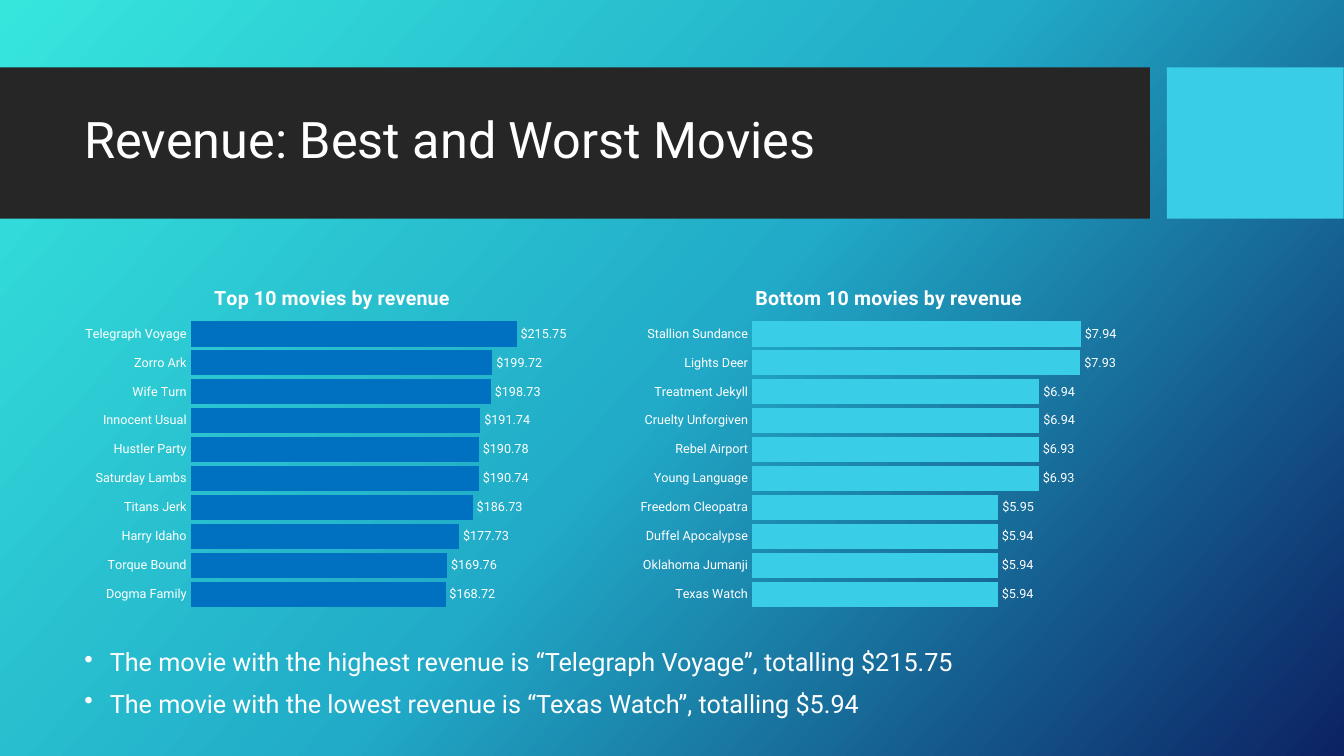
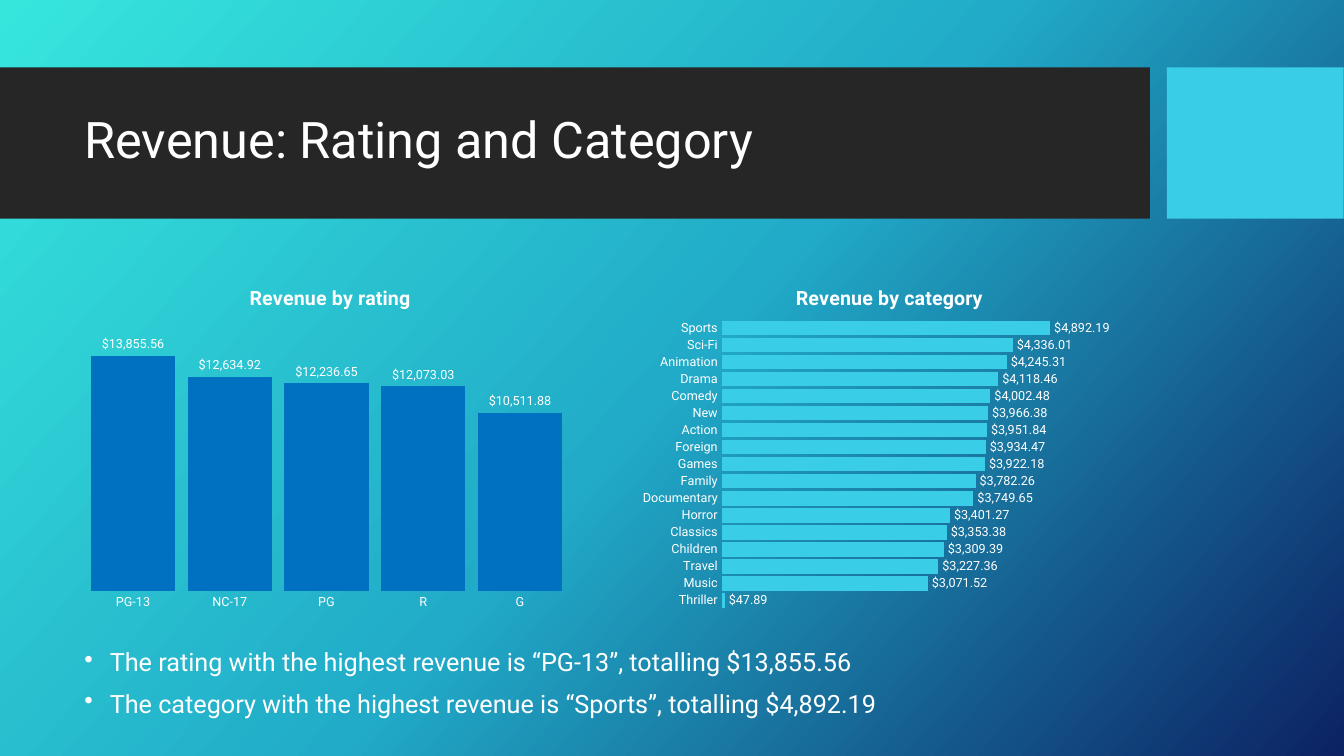
import copy
import pptx
import pptx.chart.data
import pptx.dml.color
import pptx.enum.chart
import pptx.enum.shapes
import pptx.enum.text
import pptx.oxml
import pptx.oxml.ns
import pptx.util

Cm = pptx.util.Cm
Pt = pptx.util.Pt
qn = pptx.oxml.ns.qn
Kind = pptx.enum.chart.XL_CHART_TYPE

FONT = "Roboto"
WHITE, DARK, CYAN, BLUE = "FFFFFF", "262626", "39CDE7", "0070C0"
STOPS = [(0, "36E6DD"), (0.5, "21ABC8"), (1, "0C2263")]
MONEY = "[$$-409]#,##0.00"
LEFT, WIDE = 1.88, 26.7
RIGHT = 15.9


def hue(code):
    return pptx.dml.color.RGBColor.from_string(code)


def style(font, size):
    font.name = FONT
    font.size = Pt(size)
    font.color.rgb = hue(WHITE)


def paint(slide):
    fill = slide.background.fill
    fill.gradient()
    fill.gradient_angle = 318
    stops = next(slide.element.iter(qn("a:gsLst")))
    stops.append(copy.deepcopy(stops[-1]))
    for stop, (place, code) in zip(fill.gradient_stops, STOPS):
        stop.position = place
        stop.color.rgb = hue(code)


def band(slide, left, width, code):
    box = slide.shapes.add_shape(
        pptx.enum.shapes.MSO_SHAPE.RECTANGLE,
        Cm(left), Cm(1.7), Cm(width), Cm(3.81))
    box.shadow.inherit = False
    box.fill.solid()
    box.fill.fore_color.rgb = hue(code)
    box.line.fill.background()


def write(slide, top, height, lines, size):
    box = slide.shapes.add_textbox(Cm(LEFT), Cm(top), Cm(WIDE), Cm(height))
    frame = box.text_frame
    frame.word_wrap = True
    frame.text = "\n".join(lines)
    for para in frame.paragraphs:
        para.line_spacing = 0.9
        style(para.font, size)
    return frame


def bullet(para):
    para.space_before = Pt(10)
    props = para._p.get_or_add_pPr()
    props.set("marL", str(Cm(0.64)))
    props.set("indent", str(-Cm(0.64)))
    mark = pptx.oxml.parse_xml(
        f'<a:buChar {pptx.oxml.ns.nsdecls("a")} char="•"/>')
    props.insert_element_before(mark, "a:tabLst", "a:defRPr", "a:extLst")


def arrange(node, inner=False, **spots):
    layout = node.find(qn("c:layout"))
    if layout is None:
        layout = node.makeelement(qn("c:layout"), {})
        node.insert(0, layout)
    manual = layout.makeelement(qn("c:manualLayout"), {})
    layout.append(manual)
    pairs = [("layoutTarget", "inner")] if inner else []
    pairs += [("xMode", "edge"), ("yMode", "edge")]
    for tag, value in pairs + list(spots.items()):
        manual.append(manual.makeelement(qn("c:" + tag), {"val": str(value)}))


def graph(slide, left, code, title, start, kind, data, top, edge,
          base=0.98, flip=False):
    table = pptx.chart.data.CategoryChartData(number_format=MONEY)
    table.categories = list(data)
    table.add_series("Series 1", list(data.values()))
    chart = slide.shapes.add_chart(
        kind, Cm(left), Cm(6.63), Cm(12.7), Cm(8.89), table).chart
    style(chart.font, 10)
    chart.has_legend = False
    chart.has_title = True
    head = chart.chart_title
    head.include_in_layout = False
    head.text_frame.text = title
    style(head.text_frame.paragraphs[0].font, 14)
    arrange(head._element, x=start, y=0.05)

    axis = chart.category_axis
    axis.major_tick_mark = pptx.enum.chart.XL_TICK_MARK.NONE
    axis.format.line.fill.background()
    axis.reverse_order = flip
    style(axis.tick_labels.font, 9)
    scale = chart.value_axis
    scale.visible = False
    scale.has_major_gridlines = False
    scale.minimum_scale = 0
    scale.maximum_scale = top

    plot = chart.plots[0]
    plot.gap_width = 15
    plot.vary_by_categories = False
    bars = plot.series[0]
    bars.format.fill.solid()
    bars.format.fill.fore_color.rgb = hue(code)
    tags = bars.data_labels
    tags.show_value = True
    tags.position = pptx.enum.chart.XL_LABEL_POSITION.OUTSIDE_END
    tags.number_format = MONEY
    tags.number_format_is_linked = False
    style(tags.font, 9)
    area = next(chart.element.iter(qn("c:plotArea")))
    arrange(area, True, x=edge, y=0.16,
            w=round(0.98 - edge, 2), h=round(base - 0.16, 2))


def page(deck, title, notes):
    slide = deck.slides.add_slide(deck.slide_layouts[6])
    paint(slide)
    band(slide, 0, 28.98, DARK)
    band(slide, 29.41, 4.45, CYAN)
    head = write(slide, 2.08, 3, [title], 36)
    head.vertical_anchor = pptx.enum.text.MSO_ANCHOR.MIDDLE
    for para in write(slide, 16.26, 2.79, notes, 18).paragraphs:
        bullet(para)
    return slide


def movies(deck):
    slide = page(deck, "Revenue: Best and Worst Movies", [
        "The movie with the highest revenue is “Telegraph Voyage”, "
        "totalling $215.75",
        "The movie with the lowest revenue is “Texas Watch”, "
        "totalling $5.94"])
    best = {
        "Dogma Family": 168.72, "Torque Bound": 169.76,
        "Harry Idaho": 177.73, "Titans Jerk": 186.73,
        "Saturday Lambs": 190.74, "Hustler Party": 190.78,
        "Innocent Usual": 191.74, "Wife Turn": 198.73,
        "Zorro Ark": 199.72, "Telegraph Voyage": 215.75}
    worst = {
        "Texas Watch": 5.94, "Oklahoma Jumanji": 5.94,
        "Duffel Apocalypse": 5.94, "Freedom Cleopatra": 5.95,
        "Young Language": 6.93, "Rebel Airport": 6.93,
        "Cruelty Unforgiven": 6.94, "Treatment Jekyll": 6.94,
        "Lights Deer": 7.93, "Stallion Sundance": 7.94}
    graph(slide, LEFT, BLUE, "Top 10 movies by revenue", 0.27,
          Kind.BAR_CLUSTERED, best, 250, 0.23)
    graph(slide, RIGHT, CYAN, "Bottom 10 movies by revenue", 0.24,
          Kind.BAR_CLUSTERED, worst, 9, 0.24)


def groups(deck):
    slide = page(deck, "Revenue: Rating and Category", [
        "The rating with the highest revenue is “PG-13”, "
        "totalling $13,855.56",
        "The category with the highest revenue is “Sports”, "
        "totalling $4,892.19"])
    rating = {"PG-13": 13855.56, "NC-17": 12634.92, "PG": 12236.65,
              "R": 12073.03, "G": 10511.88}
    genre = {
        "Sports": 4892.19, "Sci-Fi": 4336.01, "Animation": 4245.31,
        "Drama": 4118.46, "Comedy": 4002.48, "New": 3966.38,
        "Action": 3951.84, "Foreign": 3934.47, "Games": 3922.18,
        "Family": 3782.26, "Documentary": 3749.65, "Horror": 3401.27,
        "Classics": 3353.38, "Children": 3309.39, "Travel": 3227.36,
        "Music": 3071.52, "Thriller": 47.89}
    graph(slide, LEFT, BLUE, "Revenue by rating", 0.34,
          Kind.COLUMN_CLUSTERED, rating, 16000, 0.02, base=0.93)
    graph(slide, RIGHT, CYAN, "Revenue by category", 0.32,
          Kind.BAR_CLUSTERED, genre, 6000, 0.18, flip=True)


def main():
    deck = pptx.Presentation()
    deck.slide_width = Cm(33.87)
    deck.slide_height = Cm(19.05)
    movies(deck)
    groups(deck)
    deck.save("out.pptx")


main()
